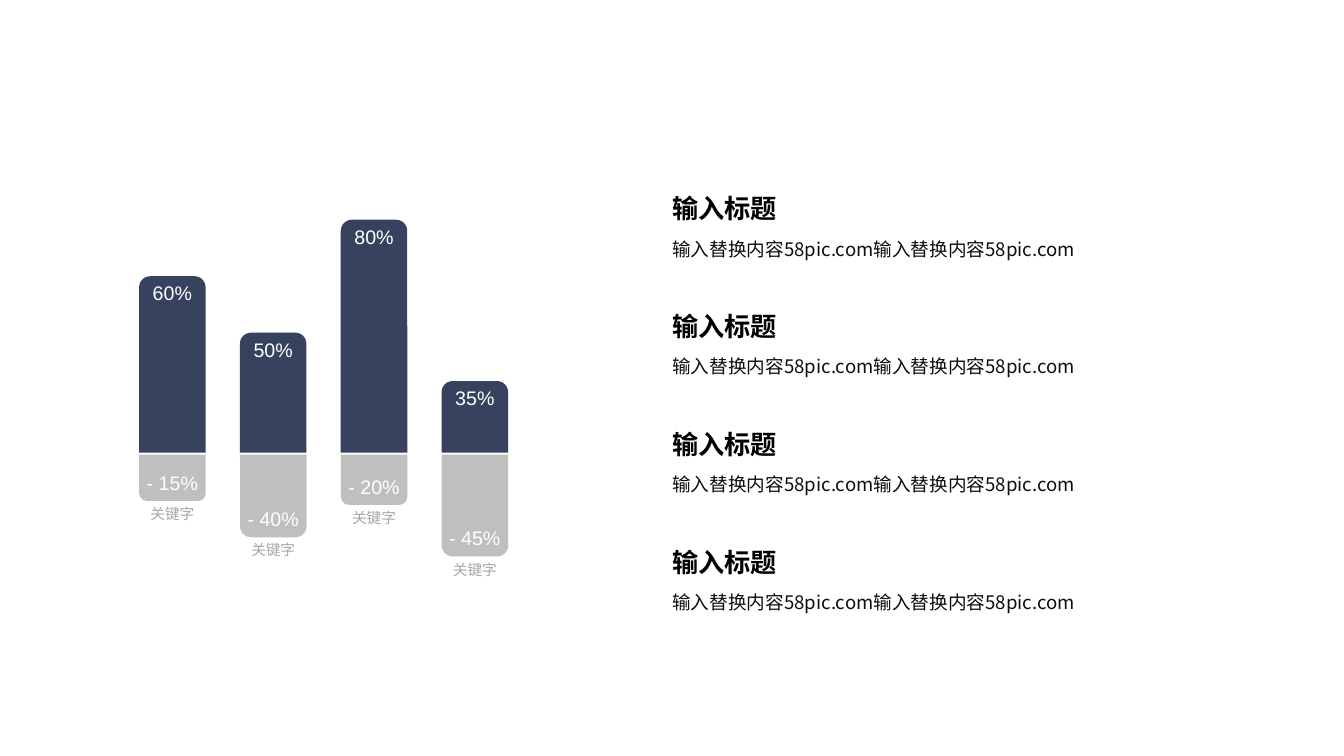
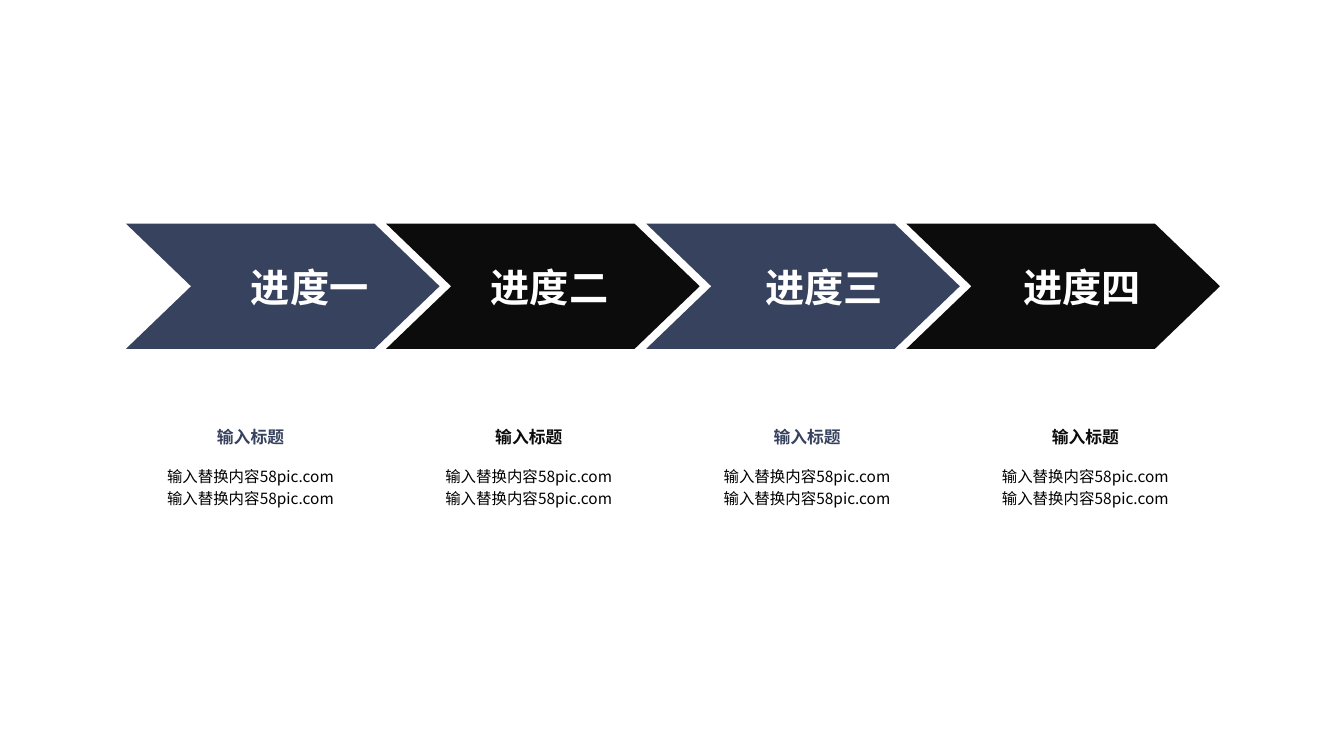
"""Build a two-slide deck: keyword bars and a four-step progress row."""
from lxml.etree import SubElement
from pptx import Presentation
from pptx.dml.color import RGBColor
from pptx.enum.shapes import MSO_SHAPE as Shape
from pptx.enum.text import PP_ALIGN as Align
from pptx.oxml.ns import qn
from pptx.util import Inches, Pt

NAVY = RGBColor(0x37, 0x42, 0x5F)
INK = RGBColor(0x0C, 0x0C, 0x0C)
BODY_INK = RGBColor(0x0D, 0x0D, 0x0D)
BLACK = RGBColor(0, 0, 0)
SILVER = RGBColor(0xBF, 0xBF, 0xBF)
CAPTION_GRAY = RGBColor(0xA6, 0xA6, 0xA6)
WHITE = RGBColor(0xFF, 0xFF, 0xFF)

LATIN = "Arial"
CJK = "Noto Sans CJK SC"
HEADING = "输入标题"
DETAIL = "输入替换内容58pic.com输入替换内容58pic.com"

BARS = [
    ("60%", 1.75, "- 15%", 0.46),
    ("50%", 1.19, "- 40%", 0.82),
    ("80%", 2.31, "- 20%", 0.5),
    ("35%", 0.71, "- 45%", 1.01),
]
STEPS = [
    ("进度一", 1.14, NAVY),
    ("进度二", 0.94, INK),
    ("进度三", 1.08, NAVY),
    ("进度四", 1.06, INK),
]


def add_text(slide, text, left, top, width, height, *, size, color,
             font=CJK, bold=False, align=Align.LEFT, spacing=None):
    """Add a wrapped one-paragraph text box."""
    box = slide.shapes.add_textbox(
        Inches(left), Inches(top), Inches(width), Inches(height))
    box.text_frame.word_wrap = True
    paragraph = box.text_frame.paragraphs[0]
    paragraph.alignment = align
    paragraph.line_spacing = spacing
    run = paragraph.add_run()
    run.text = text
    run.font.size = Pt(size)
    run.font.bold = bold
    run.font.color.rgb = color
    run.font.name = font
    SubElement(run.font._element, qn("a:ea")).set("typeface", CJK)


def add_block(slide, kind, left, top, width, height, color):
    """Add a flat filled shape without outline."""
    block = slide.shapes.add_shape(
        kind, Inches(left), Inches(top), Inches(width), Inches(height))
    block.shadow.inherit = False
    block.fill.solid()
    block.fill.fore_color.rgb = color
    block.line.fill.background()
    return block


def add_bar(slide, left, gain, rise, loss, drop):
    """Add a bar above and below the axis with its values and keyword."""
    width, axis = 0.66, 4.5
    top, base = axis - 0.01 - rise, axis + 0.01
    bottom = base + drop
    center = left + width / 2
    kind = Shape.ROUND_2_SAME_RECTANGLE
    add_block(slide, kind, left, top, width, rise, NAVY)
    add_block(slide, kind, left, base, width, drop, SILVER).rotation = 180
    labels = [
        (gain, top, 0.34, 14, WHITE),
        (loss, bottom - 0.35, 0.34, 14, WHITE),
        ("关键字", bottom - 0.01, 0.28, 10.5, CAPTION_GRAY),
    ]
    for text, label_top, height, size, color in labels:
        add_text(slide, text, center - 0.42, label_top, 0.84, height,
                 size=size, color=color, font=LATIN, align=Align.CENTER)


def add_entry(slide, left, top):
    """Add a left-aligned heading with a line of detail."""
    add_text(slide, HEADING, left, top, 4.67, 0.42,
             size=18.7, color=BLACK, bold=True)
    add_text(slide, DETAIL, left, top + 0.38, 4.67, 0.36,
             size=13.3, color=BODY_INK, spacing=1.3)


def add_step(slide, left, name, indent, color):
    """Add a named progress chevron."""
    chevron = add_block(slide, Shape.CHEVRON, left, 2.22, 3.11, 1.24, color)
    chevron.adjustments[0] = 0.52
    add_text(slide, name, left + indent, 2.56, 1.44, 0.57,
             size=28, color=WHITE, bold=True)


def add_step_note(slide, left, color):
    """Add a centred heading and detail below a step."""
    add_text(slide, HEADING, left + 0.27, 4.18, 1.39, 0.3,
             size=12, color=color, bold=True, align=Align.CENTER)
    add_text(slide, DETAIL, left, 4.55, 1.93, 0.53,
             size=11, color=BLACK, align=Align.CENTER, spacing=1.2)


def build_bars(slide):
    """Fill the slide with keyword bars and their entries."""
    for index, bar in enumerate(BARS):
        add_bar(slide, 1.38 + index, *bar)
        add_entry(slide, 6.57, 1.86 + 1.17 * index)


def build_steps(slide):
    """Fill the slide with progress steps and their notes."""
    for index, (name, indent, color) in enumerate(STEPS):
        add_step(slide, 1.25 + 2.58 * index, name, indent, color)
        add_step_note(slide, 1.52 + 2.76 * index, color)


def main():
    """Build and save the deck."""
    deck = Presentation()
    deck.slide_width, deck.slide_height = Inches(13.33), Inches(7.5)
    blank = deck.slide_layouts[6]
    for build in (build_bars, build_steps):
        build(deck.slides.add_slide(blank))
    deck.save("out.pptx")


if __name__ == "__main__":
    main()
